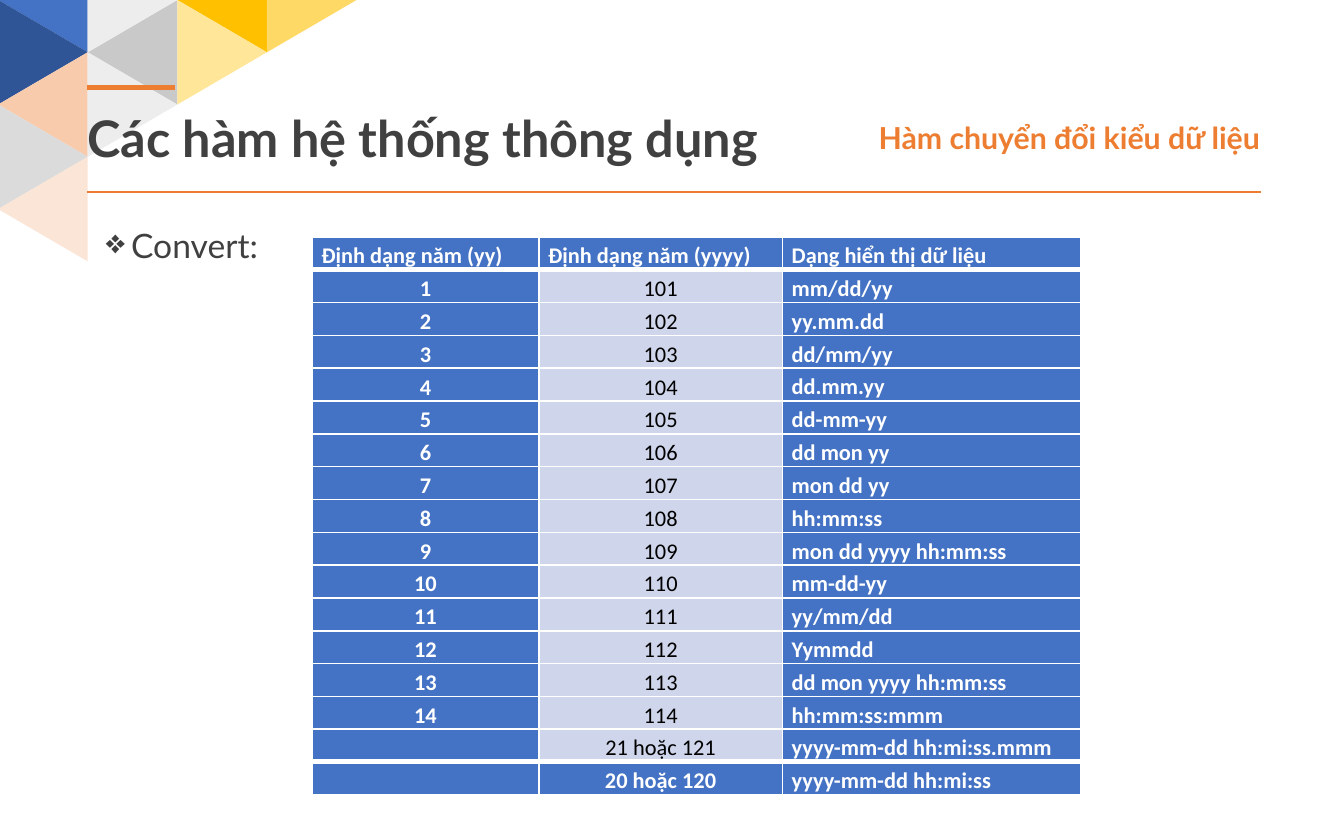
import pptx
import pptx.util
import pptx.dml.color
import pptx.enum.shapes
import pptx.enum.text
import pptx.oxml
import pptx.oxml.ns
import lxml.etree

Pt = pptx.util.Pt
ALIGN = pptx.enum.text.PP_ALIGN
ANCHOR = pptx.enum.text.MSO_ANCHOR

# Content
TITLE = "Các hàm hệ thống thông dụng"
TOPIC = "Hàm chuyển đổi kiểu dữ liệu"
LABEL = "Convert:"
HEADS = ("Định dạng năm (yy)", "Định dạng năm (yyyy)", "Dạng hiển thị dữ liệu")
FORMATS = ["mm/dd/yy", "yy.mm.dd", "dd/mm/yy", "dd.mm.yy", "dd-mm-yy",
           "dd mon yy", "mon dd yy", "hh:mm:ss", "mon dd yyyy hh:mm:ss",
           "mm-dd-yy", "yy/mm/dd", "Yymmdd", "dd mon yyyy hh:mm:ss",
           "hh:mm:ss:mmm"]
ROWS = [HEADS]
ROWS += [(str(n), str(100 + n), form) for n, form in enumerate(FORMATS, 1)]
ROWS += [("", "21 hoặc 121", "yyyy-mm-dd hh:mi:ss.mmm"),
         ("", "20 hoặc 120", "yyyy-mm-dd hh:mi:ss")]
WIDTHS = (121.5, 130.5, 160)

COLORS = {"blue": "4472C4", "navy": "2F5597", "peach": "F8CBAD", "grey": "DBDBDB",
          "blush": "FBE5D6", "steel": "C9C9C9", "mist": "EDEDED", "gold": "FFC000",
          "cream": "FFE699", "yellow": "FFD966", "orange": "ED7D31",
          "dark": "404040", "white": "FFFFFF", "black": "000000", "pale": "CFD5EA"}

# Triangles: column, row, rotation, colour
TILES = [(0, 0, 270, "blue"), (0, 1, 90, "navy"), (0, 2, 270, "peach"),
         (0, 3, 90, "grey"), (0, 4, 270, "blush"),
         (1, 1, 270, "steel"), (1, 0, 90, "mist"), (1, 2, 90, "mist"),
         (2, 0, 270, "gold"), (2, 1, 90, "cream"), (3, 0, 90, "yellow")]
BASE, TALL = 56, 48
# Lines: x1, x2, y, weight
RULES = [(46.8, 675.4, 103, 1), (93.6, 46.8, 46.8, 3)]


def paint(name):
    return pptx.dml.color.RGBColor.from_string(COLORS[name])


def style(para, size, color, bold, font="Lato"):
    for run in para.runs:
        run.font.size = Pt(size)
        run.font.name = font
        run.font.bold = bold
        run.font.color.rgb = paint(color)


def write(shape, text, size, color, bold=True, align=ALIGN.LEFT):
    frame = shape.text_frame
    frame.text = text
    frame.word_wrap = True
    frame.auto_size = pptx.enum.text.MSO_AUTO_SIZE.NONE
    frame.paragraphs[0].alignment = align
    style(frame.paragraphs[0], size, color, bold)
    return frame


def heading(frame):
    frame.margin_left = frame.margin_right = 0
    frame.margin_top = frame.margin_bottom = Pt(2.7)
    frame.vertical_anchor = ANCHOR.MIDDLE


def border(cell, top, bottom):
    props = cell._tc.get_or_add_tcPr()
    for side, weight in (("L", 1), ("R", 1), ("T", top), ("B", bottom)):
        line = pptx.oxml.parse_xml(
            f'<a:ln{side} {pptx.oxml.ns.nsdecls("a")} w="{Pt(weight)}"><a:solidFill>'
            f'<a:srgbClr val="{COLORS["white"]}"/></a:solidFill></a:ln{side}>')
        props.append(line)


deck = pptx.Presentation()
deck.slide_width, deck.slide_height = Pt(720), Pt(450)
slide = deck.slides.add_slide(deck.slide_layouts[5])
shapes = slide.shapes

# Corner mosaic
for col, row, turn, color in TILES:
    mid_x, mid_y = 23 + col * TALL, row * BASE / 2
    tile = shapes.add_shape(pptx.enum.shapes.MSO_SHAPE.ISOSCELES_TRIANGLE,
                            Pt(mid_x - BASE / 2), Pt(mid_y - TALL / 2),
                            Pt(BASE), Pt(TALL))
    tile.rotation = turn
    tile.shadow.inherit = False
    tile.fill.solid()
    tile.fill.fore_color.rgb = paint(color)
    tile.line.fill.background()

# Heading rules
for start, end, y, weight in RULES:
    rule = shapes.add_connector(pptx.enum.shapes.MSO_CONNECTOR.STRAIGHT,
                                Pt(start), Pt(y), Pt(end), Pt(y))
    rule.line.color.rgb = paint("orange")
    rule.line.width = Pt(weight)
    lxml.etree.SubElement(rule._element.spPr, pptx.oxml.ns.qn("a:effectLst"))

# Title, in front of the mosaic
title = shapes.title
title.left, title.top, title.width, title.height = Pt(46.8), Pt(59.8), Pt(407), Pt(28)
shapes._spTree.append(title._element)
heading(write(title, TITLE, 27, "dark"))

# Topic at the right
topic = shapes.add_textbox(Pt(335.5), Pt(59.8), Pt(339.5), Pt(28))
heading(write(topic, TOPIC, 16.2, "orange", align=ALIGN.RIGHT))

# Bulleted label
label = shapes.add_textbox(Pt(49.7), Pt(119.5), Pt(620.6), Pt(286))
para = write(label, LABEL, 18, "dark", False).paragraphs[0]
para.line_spacing = 0.9
para.space_before = Pt(7.5)
props = para._p.get_or_add_pPr()
props.set("marL", str(Pt(13.5)))
props.set("indent", str(-Pt(13.5)))
lxml.etree.SubElement(props, pptx.oxml.ns.qn("a:buChar")).set("char", "❖")

# Format table
last = len(ROWS) - 1
table = shapes.add_table(len(ROWS), len(WIDTHS), Pt(167.2), Pt(127),
                         Pt(sum(WIDTHS)), Pt(16.8 * len(ROWS))).table
table.first_row = table.horz_banding = False
for column, width in zip(table.columns, WIDTHS):
    column.width = Pt(width)
for r, texts in enumerate(ROWS):
    table.rows[r].height = Pt(16.8)
    for c, text in enumerate(texts):
        cell = table.cell(r, c)
        plain = c == 1 and 0 < r < last
        left = r == 0 or c == 2
        border(cell, 3 if r in (1, last) else 1, 3 if r in (0, last - 1) else 1)
        cell.fill.solid()
        cell.fill.fore_color.rgb = paint("pale" if plain else "blue")
        cell.margin_left = cell.margin_right = Pt(5)
        cell.margin_top = cell.margin_bottom = 0
        cell.vertical_anchor = ANCHOR.TOP if left else ANCHOR.MIDDLE
        para = cell.text_frame.paragraphs[0]
        para.text = text
        para.alignment = ALIGN.JUSTIFY if left else ALIGN.CENTER
        para.line_spacing = 1.2
        style(para, 12, "black" if plain else "white", not plain, "Calibri")
        if not text:  # keeps the empty cell as low as its row
            end = lxml.etree.SubElement(para._p, pptx.oxml.ns.qn("a:endParaRPr"))
            end.set("sz", "1200")

deck.save("out.pptx")
